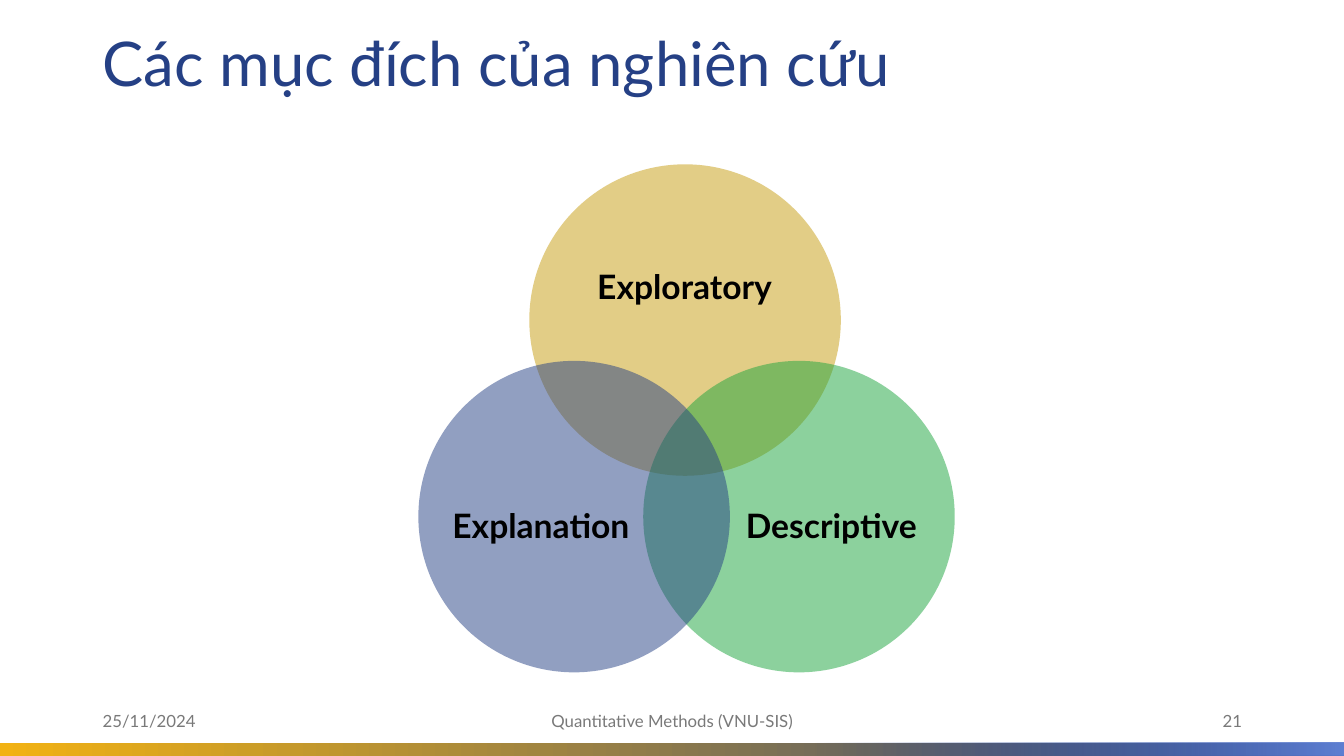
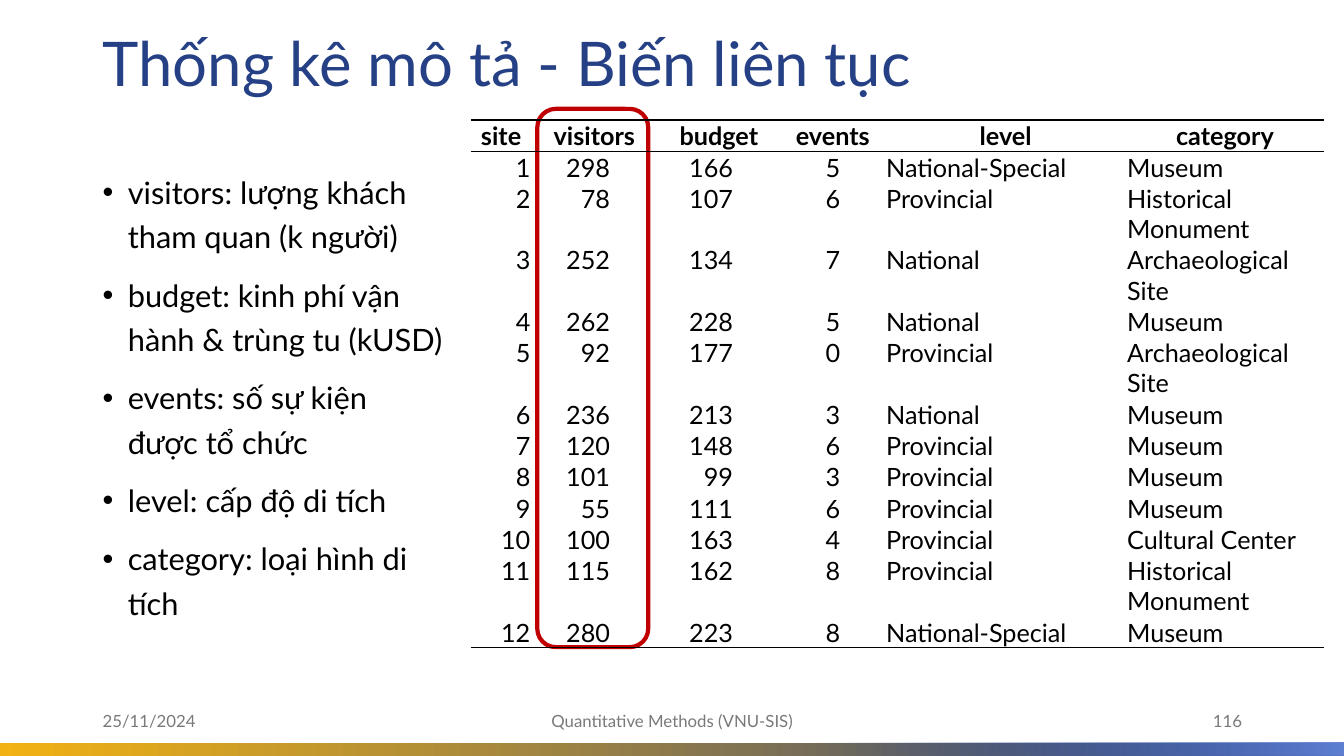
from dataclasses import dataclass

from pptx import Presentation
from pptx.dml.color import RGBColor
from pptx.enum.shapes import MSO_SHAPE as Shape
from pptx.enum.text import MSO_ANCHOR as Anchor, PP_ALIGN as Align
from pptx.oxml import parse_xml
from pptx.oxml.ns import nsdecls, qn
from pptx.util import Inches, Pt

FONT = "Lato"
BLUE, LIGHT_BLUE, AMBER = "254085", "5F80D3", "F2B213"
GOLD, GREEN, RED = "C69C0E", "1BA43D", "C00000"
BLACK, GRAY = "000000", "797979"
PLAIN_TABLE_STYLE = "{2D5ABB26-0587-4C30-8999-92F81FD0307C}"


@dataclass
class Box:
    left: float
    top: float
    width: float
    height: float

    def share(self, left, top, width, height):
        return Box(
            self.left + self.width * left / 100,
            self.top + self.height * top / 100,
            self.width * width / 100,
            self.height * height / 100,
        )

    def place(self):
        return [Inches(v) for v in (self.left, self.top, self.width, self.height)]


PAGE = Box(0, 0, 13.33, 7.5)
TITLE = PAGE.share(6.9, 2, 86.25, 13.6)
FOOTER = PAGE.share(6.9, 92.67, 86.25, 5.33)
BAND = PAGE.share(0, 98.27, 100, 1.73)
VENN = PAGE.share(31.13, 21.73, 39.91, 67.2)
BULLETS = PAGE.share(6.9, 21.33, 26.78, 67.07)
TABLE = PAGE.share(35.03, 15.87, 63.47, 69.87)

CIRCLES = [
    ("Exploratory", GOLD, (20.68, 0), (13.27, 17.48, 73.14, 44.98)),
    ("Descriptive", GREEN, (41.92, 38.69), (30.42, 25.89, 59.87, 55.02)),
    ("Explanation", BLUE, (0, 38.69), (9.39, 25.89, 59.87, 55.02)),
]

VARIABLES = [
    "visitors: lượng khách tham quan (k người)",
    "budget: kinh phí vận hành & trùng tu (kUSD)",
    "events: số sự kiện được tổ chức",
    "level: cấp độ di tích",
    "category: loại hình di tích",
]

COLUMNS = [
    ("site", 0.6, Align.RIGHT, 0.01),
    ("visitors", 1.25, Align.RIGHT, 0.47),
    ("budget", 1.22, Align.RIGHT, 0.47),
    ("events", 1.04, Align.CENTER, 0.01),
    ("level", 2.39, Align.LEFT, 0.01),
    ("category", 1.96, Align.LEFT, 0.01),
]

SITES = [
    (298, 166, 5, "National-Special", "Museum"),
    (78, 107, 6, "Provincial", "Historical Monument"),
    (252, 134, 7, "National", "Archaeological Site"),
    (262, 228, 5, "National", "Museum"),
    (92, 177, 0, "Provincial", "Archaeological Site"),
    (236, 213, 3, "National", "Museum"),
    (120, 148, 6, "Provincial", "Museum"),
    (101, 99, 3, "Provincial", "Museum"),
    (55, 111, 6, "Provincial", "Museum"),
    (100, 163, 4, "Provincial", "Cultural Center"),
    (115, 162, 8, "Provincial", "Historical Monument"),
    (280, 223, 8, "National-Special", "Museum"),
]


def color(value):
    return RGBColor.from_string(value)


def style(para, size, ink=BLACK, bold=False, align=Align.LEFT, spacing=None):
    para.alignment = align
    if spacing:
        para.line_spacing = spacing
    font = para.font
    font.name, font.size, font.bold = FONT, Pt(size), bold
    font.color.rgb = color(ink)


def set_insets(target, left, top, right, bottom):
    target.margin_left, target.margin_top = Inches(left), Inches(top)
    target.margin_right, target.margin_bottom = Inches(right), Inches(bottom)


def add_frame(page, box, anchor=Anchor.MIDDLE):
    frame = page.shapes.add_textbox(*box.place()).text_frame
    frame.word_wrap = True
    frame.vertical_anchor = anchor
    return frame


def add_text(page, box, text, size, **look):
    frame = add_frame(page, box)
    frame.text = text
    style(frame.paragraphs[0], size, **look)
    return frame


def add_figure(page, kind, box):
    figure = page.shapes.add_shape(kind, *box.place())
    figure.shadow.inherit = False
    figure.line.fill.background()
    return figure


def set_alpha(fill_element, percent):
    for tone in fill_element.findall(qn("a:srgbClr")):
        tone.append(parse_xml(f'<a:alpha {nsdecls("a")} val="{percent * 1000}"/>'))


def add_gradient(page, box, start, end):
    bar = add_figure(page, Shape.RECTANGLE, box)
    bar.fill.gradient()
    bar.fill.gradient_angle = 0
    for stop, tone in zip(bar.fill.gradient_stops, (start, end)):
        stop.color.rgb = color(tone)
    return bar


def add_band(page, box):
    add_gradient(page, box, AMBER, BLUE)
    glow = add_gradient(page, box.share(51.4, 0, 48.6, 100), BLUE, LIGHT_BLUE)
    first = next(glow.element.iter(qn("a:gs")))
    first.set("pos", "19000")
    set_alpha(first, 0)


def add_footer(page, box, number):
    cells = [
        ("25/11/2024", 0, 26.09, Align.LEFT),
        ("Quantitative Methods (VNU-SIS)", 30.43, 39.13, Align.CENTER),
        (str(number), 73.91, 26.09, Align.RIGHT),
    ]
    for text, left, width, align in cells:
        add_text(page, box.share(left, 0, width, 100), text, 12, ink=GRAY, align=align)


def add_page(deck, title, number):
    page = deck.slides.add_slide(deck.slide_layouts[6])
    add_band(page, BAND)
    add_text(page, TITLE, title, 44, ink=BLUE, spacing=0.9)
    add_footer(page, FOOTER, number)
    return page


def add_venn(page, box):
    for text, tone, corner, label in CIRCLES:
        area = box.share(*corner, 58.08, 61.31)
        circle = add_figure(page, Shape.OVAL, area)
        circle.fill.solid()
        circle.fill.fore_color.rgb = color(tone)
        set_alpha(circle.element.spPr.find(qn("a:solidFill")), 50)
        frame = add_text(page, area.share(*label), text, 24,
                         bold=True, align=Align.CENTER, spacing=0.9)
        set_insets(frame, 0, 0, 0, 0)


def add_bullets(page, box, lines):
    frame = add_frame(page, box, Anchor.TOP)
    for index, line in enumerate(lines):
        para = frame.add_paragraph() if index else frame.paragraphs[0]
        para.text = line
        props = para._p.get_or_add_pPr()
        props.set("marL", str(Inches(0.25)))
        props.set("indent", str(-Inches(0.25)))
        props.append(parse_xml(f'<a:buFont {nsdecls("a")} typeface="Arial"/>'))
        props.append(parse_xml(f'<a:buChar {nsdecls("a")} char="•"/>'))
        style(para, 22, spacing=1.2)
        if index:
            para.space_before = Pt(10)


def add_borders(cell, sides):
    for side in sides:
        cell._tc.get_or_add_tcPr().append(parse_xml(
            f'<a:ln{side} {nsdecls("a")} w="{Pt(1)}"><a:solidFill>'
            f'<a:srgbClr val="{BLACK}"/></a:solidFill></a:ln{side}>'))


def add_highlight(page, box):
    outline = add_figure(page, Shape.ROUNDED_RECTANGLE, box)
    outline.fill.background()
    outline.line.color.rgb = color(RED)
    outline.line.width = Pt(3)


def add_site_table(page, box):
    rows = [[name for name, *_ in COLUMNS]]
    rows += [(number, *site) for number, site in enumerate(SITES, 1)]
    last = len(rows) - 1
    table = page.shapes.add_table(len(rows), len(COLUMNS), *box.place()).table
    table.first_row = table.horz_banding = False
    table._tbl.tblPr.find(qn("a:tableStyleId")).text = PLAIN_TABLE_STYLE
    total = sum(width for _, width, *_ in COLUMNS)
    for column, (_, width, *_) in zip(table.columns, COLUMNS):
        column.width = Inches(box.width * width / total)
    for index, values in enumerate(rows):
        table.rows[index].height = Inches(0.21)
        header = index == 0
        sides = "TB" if header else "B" if index == last else ""
        for place, (value, (_, _, align, right)) in enumerate(zip(values, COLUMNS)):
            cell = table.cell(index, place)
            cell.text = str(value)
            set_insets(cell, 0.01, 0.01, 0.01 if header else right, 0)
            add_borders(cell, sides)
            cell.fill.background()
            style(cell.text_frame.paragraphs[0], 18, bold=header,
                  align=Align.CENTER if header else align)


def main():
    deck = Presentation()
    deck.slide_width, deck.slide_height = Inches(PAGE.width), Inches(PAGE.height)

    purposes = add_page(deck, "Các mục đích của nghiên cứu", 21)
    add_venn(purposes, VENN)

    statistics = add_page(deck, "Thống kê mô tả - Biến liên tục", 116)
    add_bullets(statistics, BULLETS, VARIABLES)
    add_highlight(statistics, TABLE.share(7.8, -2.1, 13, 101.91))
    add_site_table(statistics, TABLE)

    deck.save("out.pptx")


if __name__ == "__main__":
    main()
